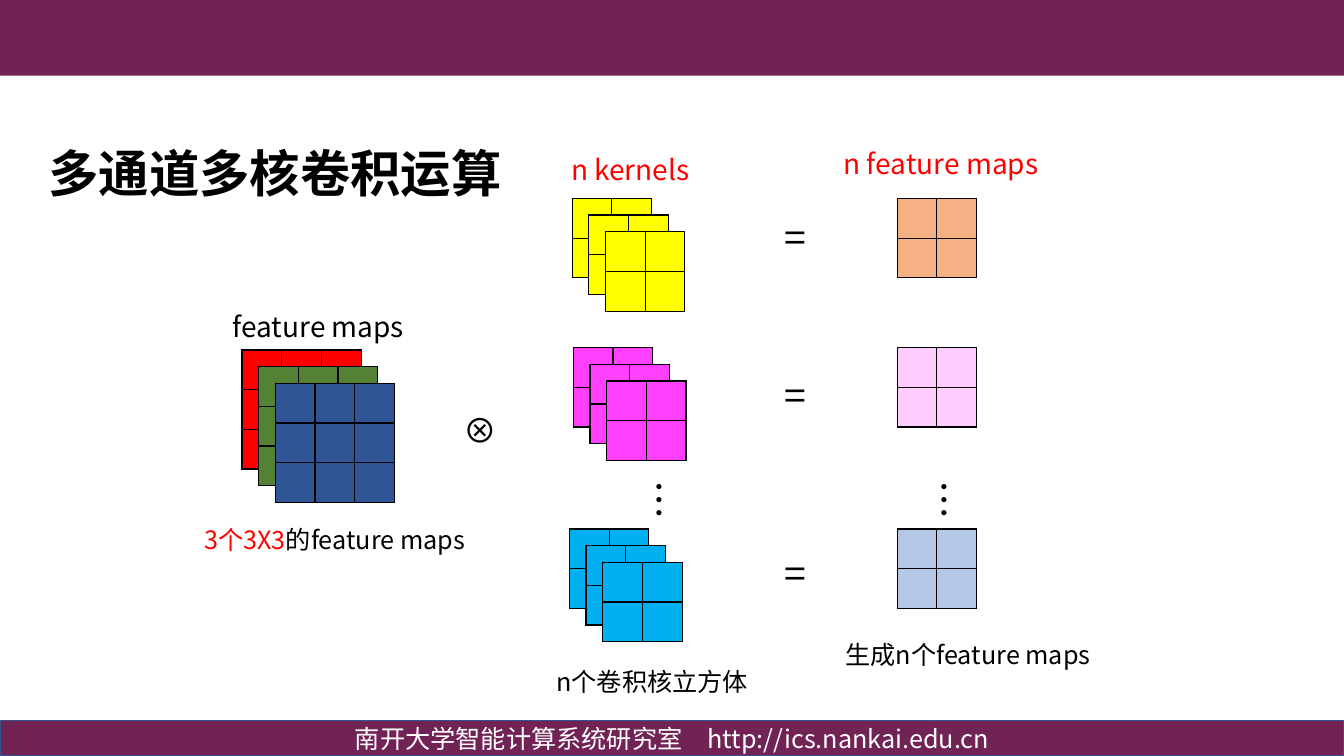
"""Build the slide on multi-channel, multi-kernel convolution."""
import pptx
import pptx.util
import pptx.dml.color
import pptx.enum.shapes
import pptx.enum.text
import pptx.oxml
import pptx.oxml.ns
from pptx.util import Cm, Pt

COLOURS = {
    "purple": "712355", "footer line": "325491", "white": "FFFFFF", "black": "000000",
    "red": "FF0000", "green": "548235", "blue": "2F5597", "yellow": "FFFF00",
    "magenta": "FF40FF", "cyan": "00B0F0", "orange": "F4B183", "pink": "FFCCFF",
    "pale blue": "B4C7E7",
}
FONT = "Noto Sans CJK SC"
ALIGN = pptx.enum.text.PP_ALIGN
TILE = 1.0
STEP = 0.42


def add_run(paragraph, text, size, colour, font=FONT, bold=False):
    run = paragraph.add_run()
    run.text = text
    run.font.size = Pt(size)
    run.font.bold = bold
    run.font.name = font
    run.font.color.rgb = pptx.dml.color.RGBColor.from_string(COLOURS[colour])
    east_asian = run.font._element.makeelement(pptx.oxml.ns.qn("a:ea"), {"typeface": FONT})
    run.font._element.append(east_asian)


def add_grid(shapes, left, top, count, colour):
    side = Cm(count * TILE)
    table = shapes.add_table(count, count, Cm(left), Cm(top), side, side).table
    table.first_row = table.horz_banding = False
    for cell in table.iter_cells():
        cell.margin_left = cell.margin_right = cell.margin_top = cell.margin_bottom = 0
        properties = cell._tc.get_or_add_tcPr()
        for edge in ("lnL", "lnR", "lnT", "lnB"):
            properties.append(pptx.oxml.parse_xml(
                f'<a:{edge} {pptx.oxml.ns.nsdecls("a")} w="12700"><a:solidFill>'
                f'<a:srgbClr val="{COLOURS["black"]}"/></a:solidFill></a:{edge}>'))
        cell.fill.solid()
        cell.fill.fore_color.rgb = pptx.dml.color.RGBColor.from_string(COLOURS[colour])


presentation = pptx.Presentation()
presentation.slide_width = Cm(33.87)
presentation.slide_height = Cm(19.05)
slide = presentation.slides.add_slide(presentation.slide_layouts[5])
shapes = slide.shapes

title = shapes.title
title.left, title.top, title.width, title.height = Cm(0.86), Cm(2.18), Cm(12.14), Cm(3.07)
title.text_frame.auto_size = pptx.enum.text.MSO_AUTO_SIZE.NONE
title.text_frame.vertical_anchor = pptx.enum.text.MSO_ANCHOR.BOTTOM
paragraph = title.text_frame.paragraphs[0]
paragraph.alignment = ALIGN.CENTER
paragraph.line_spacing = 0.9
add_run(paragraph, "多通道多核卷积运算", 36, "black", "Calibri", True)

bars = []
for top, height in [(0, 1.91), (18.15, 0.9)]:
    bar = shapes.add_shape(pptx.enum.shapes.MSO_SHAPE.RECTANGLE,
                           0, Cm(top), presentation.slide_width, Cm(height))
    bar.shadow.inherit = False
    bar.fill.solid()
    bar.fill.fore_color.rgb = pptx.dml.color.RGBColor.from_string(COLOURS["purple"])
    bar.line.fill.background()
    bars.append(bar)
footer = bars[1]
footer.line.color.rgb = pptx.dml.color.RGBColor.from_string(COLOURS["footer line"])
footer.line.width = Pt(1)
footer.text_frame.vertical_anchor = pptx.enum.text.MSO_ANCHOR.MIDDLE
paragraph = footer.text_frame.paragraphs[0]
paragraph.alignment = ALIGN.CENTER
add_run(paragraph, "南开大学智能计算系统研究室　http://ics.nankai.edu.cn", 18, "white")

stacks = [
    (6.1, 8.82, 3, ["red", "green", "blue"]),
    (14.42, 5.0, 2, ["yellow"] * 3),
    (14.45, 8.76, 2, ["magenta"] * 3),
    (14.35, 13.33, 2, ["cyan"] * 3),
    (22.61, 5.0, 2, ["orange"]),
    (22.61, 8.76, 2, ["pink"]),
    (22.61, 13.33, 2, ["pale blue"]),
]
for left, top, count, layers in stacks:
    for index, colour in enumerate(layers):
        add_grid(shapes, left + index * STEP, top + index * STEP, count, colour)

labels = [
    (13.8, 3.71, 4.17, 1.12, ALIGN.CENTER, 20, [("n kernels", "red")]),
    (19.51, 3.56, 8.41, 1.12, ALIGN.CENTER, 20, [("n feature maps", "red")]),
    (3.25, 7.67, 9.55, 1.12, ALIGN.CENTER, 20, [("feature maps", "black")]),
    (13.77, 16.66, 6.02, 1.02, ALIGN.LEFT, 18, [("n个卷积核立方体", "black")]),
    (21.06, 15.98, 7.04, 1.02, ALIGN.LEFT, 18, [("生成n个feature maps", "black")]),
    (4.9, 13.08, 7.52, 1.02, ALIGN.LEFT, 18, [("3个3X3", "red"), ("的feature maps", "black")]),
]
for left, top, width, height, alignment, size, runs in labels:
    box = shapes.add_textbox(Cm(left), Cm(top), Cm(width), Cm(height))
    box.text_frame.word_wrap = True
    paragraph = box.text_frame.paragraphs[0]
    paragraph.alignment = alignment
    for text, colour in runs:
        add_run(paragraph, text, size, colour)

symbols = [("=", 19.51, top, 1.02, 1.45, 28, 0) for top in (5.26, 9.22, 13.72)]
symbols += [("…", left, 11.73, 1.19, 1.45, 28, 90) for left in (16.03, 23.22)]
symbols.append(("⊗", 11.43, 10.21, 1.27, 1.27, 24, 0))
for text, left, top, width, height, size, rotation in symbols:
    box = shapes.add_textbox(Cm(left), Cm(top), Cm(width), Cm(height))
    box.rotation = rotation
    box.text_frame.word_wrap = False
    add_run(box.text_frame.paragraphs[0], text, size, "black")

presentation.save("out.pptx")
